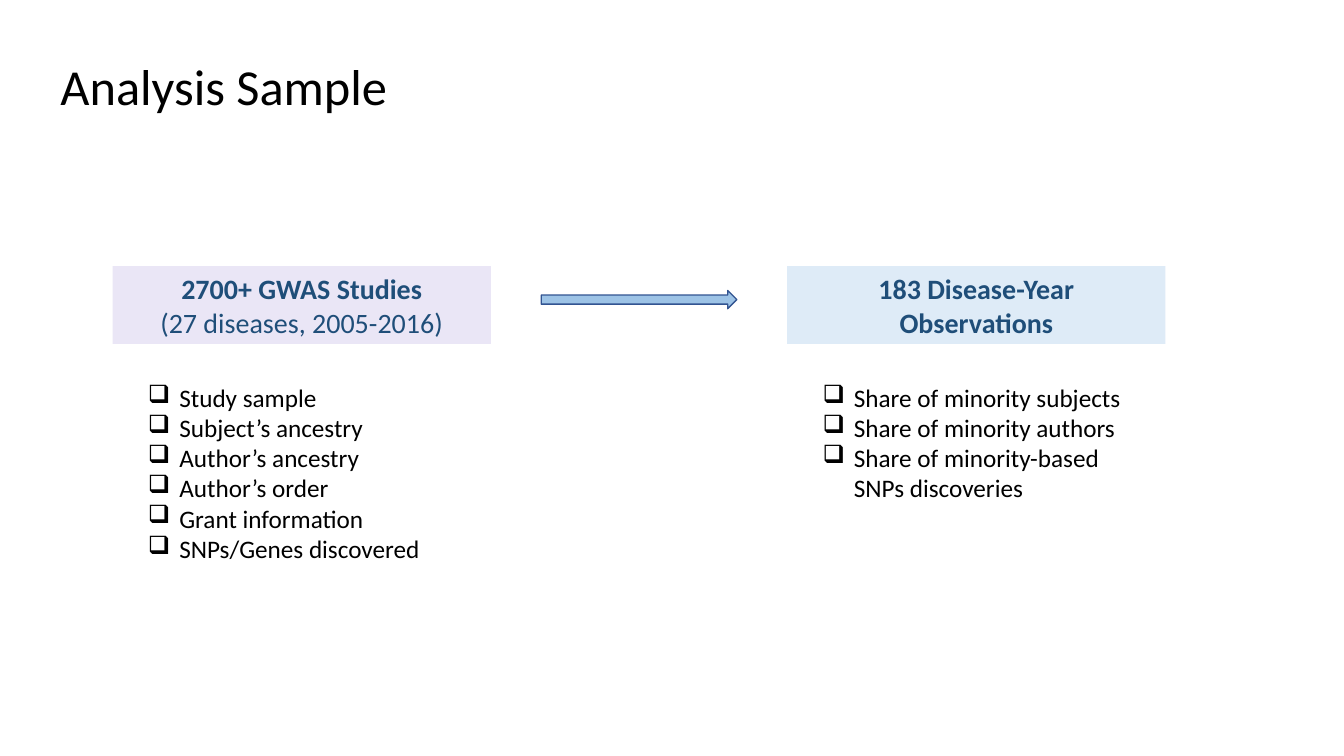
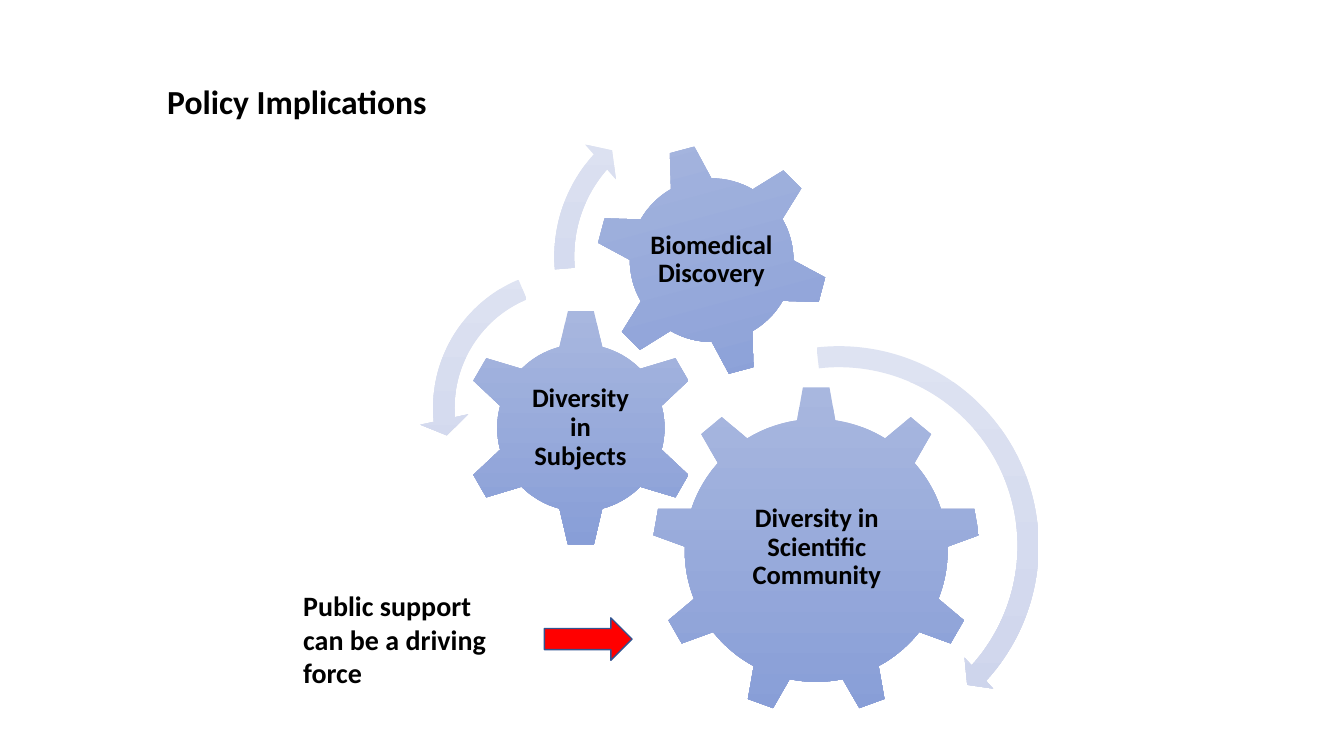
from lxml.etree import SubElement
from pptx import Presentation
from pptx.dml.color import RGBColor
from pptx.enum.shapes import MSO_SHAPE as Shape
from pptx.enum.text import MSO_ANCHOR as Anchor, PP_ALIGN as Align
from pptx.oxml.ns import qn
from pptx.util import Cm, Pt

# Shared style
COLORS = {
    "text": "000000", "heading": "1F4E79", "outline": "325491",
    "studies": "EAE6F6", "observations": "DEEBF7",
    "step": "9DC3E6", "support": "FF0000",
}
GEAR_GRADIENT = ("A8B7DF", "889ED7")
ARC_GRADIENT = ("DEE3F2", "CCD3EB")
FONT = "Calibri"
TITLE_ONLY = 5
BULLET, BULLET_INDENT = "❑", Cm(0.79)

# Slide 1 content: lines of a heading are (text, bold)
SAMPLE_TITLE = ("Analysis Sample", (1.27, 1.27, 31.3, 1.8), {"size": Pt(36), "bold": False})
CARDS = [
    ("studies",
     [("2700+ GWAS Studies", True), ("(27 diseases, 2005-2016)", False)],
     ["Study sample", "Subject’s ancestry", "Author’s ancestry", "Author’s order",
      "Grant information", "SNPs/Genes discovered"]),
    ("observations",
     [("183 Disease-Year", True), ("Observations", True)],
     ["Share of minority subjects", "Share of minority authors",
      "Share of minority-based SNPs discoveries"]),
]
CARD_LEFT, CARD_STEP, CARD_TOP, CARD_WIDTH, CARD_HEIGHT = 2.84, 17, 6.71, 9.53, 1.96
LIST_INSET, LIST_TOP, LIST_HEIGHT = 0.64, 9.5, 4.88
STEP_ARROW = (13.64, 7.32, 4.93, 0.46)

# Slide 2 content: gears are (kind, left, top, size, rotation, label, label box)
POLICY_TITLE = ("Policy Implications", (3.96, 1.9, 29.2, 1.27), {"size": Pt(24), "bold": True})
GEARS = [
    (Shape.GEAR_9, 16.43, 9.73, 8.28, 0, "Diversity in Scientific Community",
     (18.11, 11.66, 4.95, 4.27)),
    (Shape.GEAR_6, 11.63, 7.77, 6.02, 0, "Diversity in Subjects",
     (13.13, 9.3, 3, 2.97)),
    (Shape.GEAR_6, 14.99, 3.61, 5.89, 345, "Biomedical Discovery",
     (16.28, 4.9, 3.3, 3.3)),
]
# Turning arrows: (kind, left, top, size, adjustments)
ARCS = [
    (Shape.CIRCULAR_ARROW, 15.85, 8.46, 10.59, (0.05, 2.99, 25.39, 158.12, 0.05)),
    (Shape.LEFT_CIRCULAR_ARROW, 10.57, 6.43, 7.7, (0.07, 4.3, 104.89, 148.38, 0.08)),
    (Shape.CIRCULAR_ARROW, 13.64, 2.31, 8.31, (0.06, 3.94, 133.14, 105.08, 0.07)),
]
SUPPORT_TEXT, SUPPORT_BOX = "Public support can be a driving force", (7.39, 14.71, 5.49, 2.82)
SUPPORT_ARROW = (13.72, 15.57, 2.21, 1.07)


def rgb(name):
    return RGBColor.from_string(COLORS[name])


def to_cm(box):
    return [Cm(value) for value in box]


def set_all(target, values):
    for name, value in values.items():
        setattr(target, name, value)


def add_bullet(paragraph):
    properties = paragraph._p.get_or_add_pPr()
    properties.set("marL", str(BULLET_INDENT))
    properties.set("indent", str(-BULLET_INDENT))
    SubElement(properties, qn("a:buChar")).set("char", BULLET)


def write(frame, lines, color="text", align=Align.LEFT, spacing=None, bullets=False, **font):
    """Fill a text frame with (text, bold) lines."""
    frame.word_wrap = True
    for index, (text, bold) in enumerate(lines):
        paragraph = frame.add_paragraph() if index else frame.paragraphs[0]
        set_all(paragraph, {"alignment": align, "line_spacing": spacing})
        if bullets:
            add_bullet(paragraph)
        run = paragraph.add_run()
        run.text = text
        set_all(run.font, {"name": FONT, "bold": bold, **font})
        run.font.color.rgb = rgb(color)


def add_titled_slide(presentation, text, box, font):
    slide = presentation.slides.add_slide(presentation.slide_layouts[TITLE_ONLY])
    title = slide.shapes.title
    set_all(title, dict(zip(("left", "top", "width", "height"), to_cm(box))))
    title.text_frame.vertical_anchor = Anchor.TOP
    write(title.text_frame, [(text, font["bold"])], size=font["size"])
    return slide


def add_text(slide, box, lines, **style):
    frame = slide.shapes.add_textbox(*to_cm(box)).text_frame
    write(frame, lines, **style)
    return frame


def add_shape(slide, kind, box, fill=None, gradient=None, outline=None):
    shape = slide.shapes.add_shape(kind, *to_cm(box))
    shape.shadow.inherit = False
    if gradient:
        shape.fill.gradient()
        shape.fill.gradient_angle = 270
        for stop, color in zip(shape.fill.gradient_stops, gradient):
            stop.color.rgb = RGBColor.from_string(color)
    else:
        shape.fill.solid()
        shape.fill.fore_color.rgb = rgb(fill)
    if outline:
        shape.line.color.rgb = rgb(outline)
        shape.line.width = Pt(1)
    else:
        shape.line.fill.background()
    return shape


def build_sample_slide(presentation):
    slide = add_titled_slide(presentation, *SAMPLE_TITLE)
    for index, (fill, heading, items) in enumerate(CARDS):
        left = CARD_LEFT + index * CARD_STEP
        card = add_shape(slide, Shape.RECTANGLE, (left, CARD_TOP, CARD_WIDTH, CARD_HEIGHT), fill)
        write(card.text_frame, heading, "heading", Align.CENTER, size=Pt(20))
        list_box = (left + LIST_INSET, LIST_TOP, CARD_WIDTH - 2 * LIST_INSET, LIST_HEIGHT)
        add_text(slide, list_box, [(item, False) for item in items], bullets=True, size=Pt(18))
    add_shape(slide, Shape.RIGHT_ARROW, STEP_ARROW, "step", outline="outline")


def build_policy_slide(presentation):
    slide = add_titled_slide(presentation, *POLICY_TITLE)
    # Gears with their labels
    for kind, left, top, size, rotation, label, label_box in GEARS:
        gear = add_shape(slide, kind, (left, top, size, size), gradient=GEAR_GRADIENT)
        gear.rotation = rotation
        frame = add_text(slide, label_box, [(label, True)], align=Align.CENTER,
                         spacing=0.9, size=Pt(19))
        frame.vertical_anchor = Anchor.MIDDLE
        sides = ("left", "top", "right", "bottom")
        set_all(frame, {f"margin_{side}": Cm(0.08) for side in sides})
    # Turning arrows
    for kind, left, top, size, adjustments in ARCS:
        arc = add_shape(slide, kind, (left, top, size, size), gradient=ARC_GRADIENT)
        for index, value in enumerate(adjustments):
            arc.adjustments[index] = value
    # Driving force
    add_shape(slide, Shape.RIGHT_ARROW, SUPPORT_ARROW, "support", outline="outline")
    add_text(slide, SUPPORT_BOX, [(SUPPORT_TEXT, True)], size=Pt(20))


def main():
    presentation = Presentation()
    set_all(presentation, {"slide_width": Cm(33.87), "slide_height": Cm(19.05)})
    build_sample_slide(presentation)
    build_policy_slide(presentation)
    presentation.save("out.pptx")


if __name__ == "__main__":
    main()
